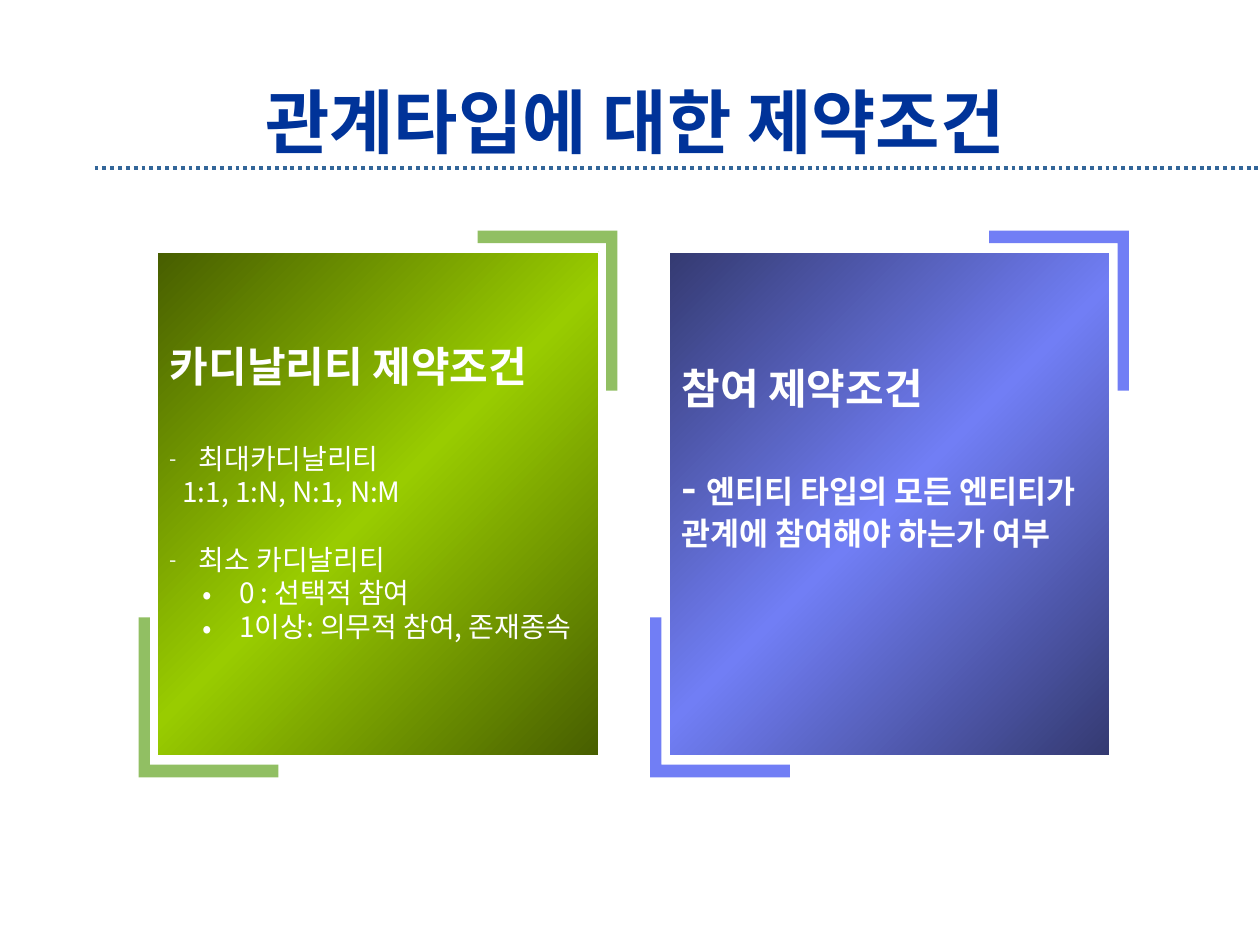
from copy import deepcopy

from pptx import Presentation
from pptx.dml.color import RGBColor
from pptx.enum.dml import MSO_LINE
from pptx.enum.shapes import MSO_CONNECTOR, MSO_SHAPE
from pptx.enum.text import MSO_ANCHOR, PP_ALIGN
from pptx.oxml.ns import qn
from pptx.util import Inches, Pt

STRAIGHT, RECT = MSO_CONNECTOR.STRAIGHT, MSO_SHAPE.RECTANGLE
TOP, MIDDLE = MSO_ANCHOR.TOP, MSO_ANCHOR.MIDDLE
LEFT, CENTER = PP_ALIGN.LEFT, PP_ALIGN.CENTER
DOTTED = MSO_LINE.ROUND_DOT

FONT = "Noto Sans CJK KR"
COLORS = {
    "title": "003399", "rule": "336699", "white": "FFFFFF",
    "green": "99CC00", "dark green": "475E00", "green bracket": "91BF63",
    "blue": "717EF5", "dark blue": "343A71", "blue bracket": "717EF5",
}

CARD_W, CARD_H, CARD_TOP = 3.5, 4, 2
FIRST_COLUMN, COLUMN_STEP = 1.25, 4.06
BRACKET_W, BRACKET_H = 1.11, 1.27
BRACKET_GAP_X, BRACKET_GAP_Y = 0.15, 0.17

HEADING = {"size": 24, "bold": True, "line": 28.8}
ITEM = {"size": 16, "line": 19.25}
DASH = {**ITEM, "bullet": "-", "bullet_size": 75, "margin": 0.23, "hang": 0.23}
DOT = {**ITEM, "bullet": "•", "margin": 0.5, "hang": 0.24, "level": 1}

CARDS = [
    ("green", 0.7, [
        ([("카디날리티 제약조건", 24)], HEADING),
        ([("최대카디날리티", 16)], {**DASH, "before": 28.8}),
        ([("1:1, 1:N, N:1, N:M", 16)], {**ITEM, "margin": 0.1}),
        ([("최소 카디날리티", 16)], {**DASH, "before": 19.25}),
        ([(" 0 : 선택적 참여", 16)], DOT),
        ([(" 1이상: 의무적 참여, 존재종속", 16)], DOT),
    ]),
    ("blue", 0.88, [
        ([("참여 제약조건", 24)], HEADING),
        ([("- ", 24), ("엔티티 타입의 모든 엔티티가 관계에 참여해야 하는가 여부", 18)],
         {"bold": True, "line": 22.9, "before": 33.5}),
    ]),
]


def rgb(name):
    return RGBColor.from_string(COLORS[name])


def add_run(p, text, size, color, bold):
    r = p.add_run()
    r.text = text
    fmt = {"size": Pt(size), "name": FONT, "bold": bold}
    for key, value in fmt.items():
        setattr(r.font, key, value)
    r.font.color.rgb = rgb(color)
    r._r.get_or_add_rPr().add_ea(FONT) if hasattr(r._r.get_or_add_rPr(), "add_ea") else add_east_asian(r)


def add_east_asian(r):
    """Name the font for Korean letters too."""
    rPr = r._r.get_or_add_rPr()
    ea = rPr.makeelement(qn("a:ea"), {"typeface": FONT})
    rPr.find(qn("a:latin")).addnext(ea)


def set_bullet(p, char, size):
    pPr = p._p.get_or_add_pPr()
    for tag, attrs in (("a:buSzPct", {"val": str(size * 1000)}),
                       ("a:buFont", {"typeface": FONT}),
                       ("a:buChar", {"char": char})):
        pPr.append(pPr.makeelement(qn(tag), attrs))


def add_title(s, text):
    sp = s.shapes.title
    box = {"left": 0.75, "top": 0.67, "width": 8.58, "height": 0.58}
    for key, value in box.items():
        setattr(sp, key, Inches(value))
    sp.text_frame.vertical_anchor = MIDDLE
    p = sp.text_frame.paragraphs[0]
    p.alignment = CENTER
    add_run(p, text, 40, "title", True)


def add_rule(s, x1, x2, y):
    line = s.shapes.add_connector(STRAIGHT, Inches(x1), Inches(y), Inches(x2), Inches(y))
    line.line.color.rgb = rgb("rule")
    line.line.width = Pt(2.25)
    line.line.dash_style = DOTTED
    spPr = line._element.spPr
    spPr.append(spPr.makeelement(qn("a:effectLst"), {}))


def add_bracket(s, x, y, turn, color):
    """Draw an L from its corner; turn is 1 for lower left, -1 for upper right."""
    outline = [(0, 0), (0, -BRACKET_H), (0.09, -BRACKET_H), (0.09, -0.1),
               (BRACKET_W, -0.1), (BRACKET_W, 0)]
    points = [(Inches(x + turn * dx), Inches(y + turn * dy)) for dx, dy in outline]
    builder = s.shapes.build_freeform(*points[0])
    builder.add_line_segments(points[1:])
    sp = builder.convert_to_shape()
    sp.shadow.inherit = False
    sp.fill.solid()
    sp.fill.fore_color.rgb = rgb(color)
    sp.line.fill.background()


def fill_band(sp, edge, middle):
    """Fill with a diagonal gradient that is brightest in the middle."""
    sp.fill.gradient()
    sp.fill.gradient_angle = 315
    first = sp.fill._fill._gradFill.gsLst[0]
    first.addnext(deepcopy(first))
    for stop, place, name in zip(sp.fill.gradient_stops, (0, 0.5, 1), (edge, middle, edge)):
        stop.position = place
        stop.color.rgb = rgb(name)


def add_paragraph(p, runs, style):
    p.alignment = LEFT
    p.level = style.get("level", 0)
    p.line_spacing = Pt(style["line"])
    p.space_before = Pt(style.get("before", 0))
    margin, hang = style.get("margin", 0), style.get("hang", 0)
    pPr = p._p.get_or_add_pPr()
    pPr.set("marL", str(Inches(margin)))
    pPr.set("indent", str(-Inches(hang)))
    if "bullet" in style:
        set_bullet(p, style["bullet"], style.get("bullet_size", 100))
    for text, size in runs:
        add_run(p, text, size, "white", style.get("bold", False))


def add_card(s, x, color, text_top, paragraphs):
    bottom, right = CARD_TOP + CARD_H, x + CARD_W
    add_bracket(s, x - BRACKET_GAP_X, bottom + BRACKET_GAP_Y, 1, f"{color} bracket")
    add_bracket(s, right + BRACKET_GAP_X, CARD_TOP - BRACKET_GAP_Y, -1, f"{color} bracket")
    sp = s.shapes.add_shape(RECT, Inches(x), Inches(CARD_TOP), Inches(CARD_W), Inches(CARD_H))
    sp.shadow.inherit = False
    fill_band(sp, f"dark {color}", color)
    sp.line.color.rgb = rgb("white")
    sp.line.width = Pt(0.75)
    tf = sp.text_frame
    frame = {"word_wrap": True, "vertical_anchor": TOP, "margin_top": Inches(text_top)}
    for key, value in frame.items():
        setattr(tf, key, value)
    for i, (runs, style) in enumerate(paragraphs):
        p = tf.add_paragraph() if i else tf.paragraphs[0]
        add_paragraph(p, runs, style)


def main():
    prs = Presentation()
    prs.slide_width, prs.slide_height = Inches(10), Inches(7.5)
    s = prs.slides.add_slide(prs.slide_layouts[5])
    add_rule(s, 0.75, 10, 1.33)
    add_title(s, "관계타입에 대한 제약조건")
    for column, card in enumerate(CARDS):
        add_card(s, FIRST_COLUMN + column * COLUMN_STEP, *card)
    prs.save("out.pptx")


if __name__ == "__main__":
    main()
